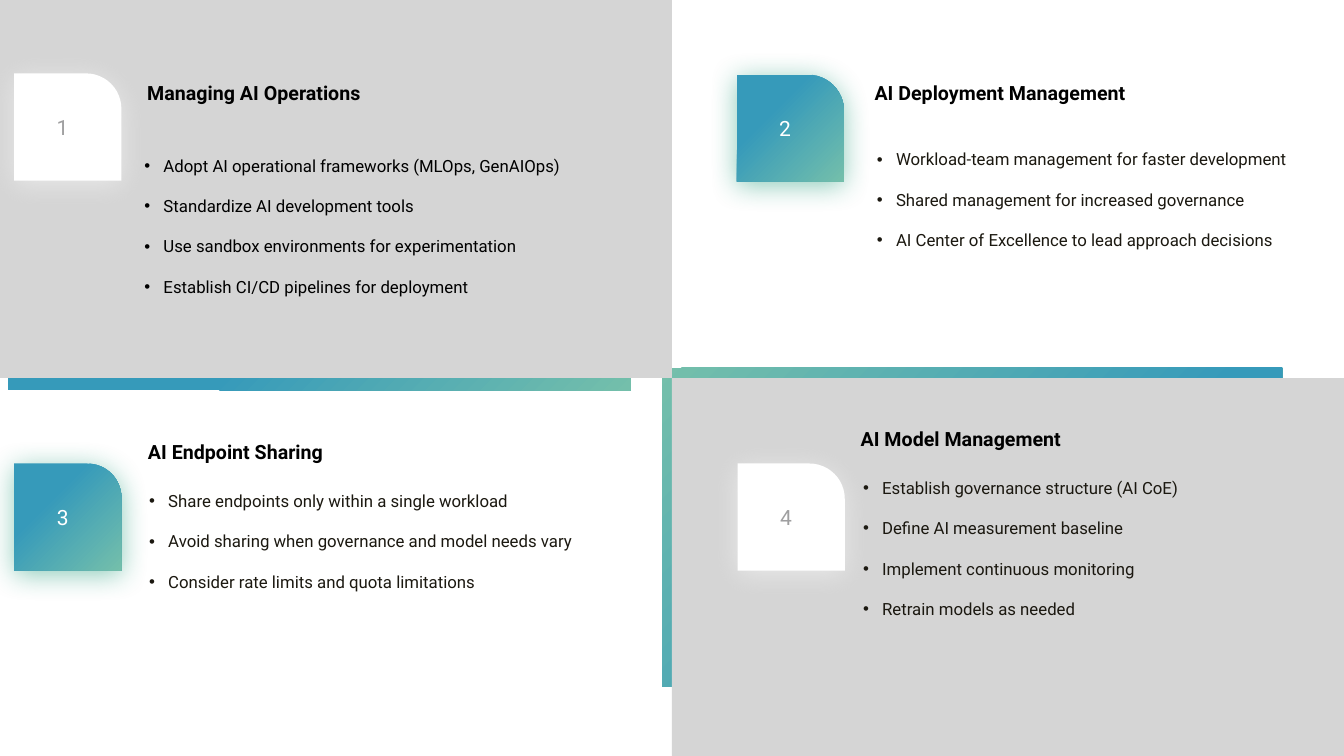
from lxml.etree import SubElement
from pptx import Presentation
from pptx.dml.color import RGBColor
from pptx.enum.shapes import MSO_SHAPE
from pptx.enum.text import MSO_ANCHOR, MSO_AUTO_SIZE, PP_ALIGN
from pptx.oxml import parse_xml
from pptx.oxml.ns import nsdecls, qn
from pptx.util import Cm, Pt

# Content: heading and list boxes are (left, top, width), badges (left, top), in cm
TOPICS = [
    {"head": "Managing AI Operations", "head_at": (3.56, 1.78, 8.38),
     "list_at": (3.56, 3.28, 11.33), "badge_at": (0.36, 1.85),
     "ink": "000000", "vivid": False, "round": 0.33,
     "items": ["Adopt AI operational frameworks (MLOps, GenAIOps)",
               "Standardize AI development tools",
               "Use sandbox environments for experimentation",
               "Establish CI/CD pipelines for deployment"]},
    {"head": "AI Deployment Management", "head_at": (21.89, 1.78, 9.73),
     "list_at": (22.02, 3.12, 11.23), "badge_at": (18.57, 1.88),
     "ink": "1B1810", "vivid": True, "round": 0.34,
     "items": ["Workload-team management for faster development",
               "Shared management for increased governance",
               "AI Center of Excellence to lead approach decisions"]},
    {"head": "AI Endpoint Sharing", "head_at": (3.58, 10.82, 9.75),
     "list_at": (3.68, 11.73, 13), "badge_at": (0.36, 11.68),
     "ink": "1B1810", "vivid": True, "round": 0.32,
     "items": ["Share endpoints only within a single workload",
               "Avoid sharing when governance and model needs vary",
               "Consider rate limits and quota limitations"]},
    {"head": "AI Model Management", "head_at": (21.54, 10.49, 8.38),
     "list_at": (21.67, 11.4, 11.94), "badge_at": (18.59, 11.68),
     "ink": "1B1810", "vivid": False, "round": 0.33,
     "items": ["Establish governance structure (AI CoE)",
               "Define AI measurement baseline",
               "Implement continuous monitoring",
               "Retrain models as needed"]},
]
WIDE, HIGH = 33.87, 19.05
HALF_W, HALF_H = WIDE / 2, HIGH / 2
GREEN, BLUE, GRAY, WHITE = "74BFAB", "369ABA", "D5D5D5", "FFFFFF"
DIAGONAL = '<a:lin ang="2700000" scaled="0"/>'
CORNER = '<a:path path="circle"><a:fillToRect l="100000" t="100000"/></a:path>'
STRIPS = [((16.69, 9.27, 15.62, 8.03), [(0, GREEN), (62, BLUE)]),
          ((0.2, 1.75, 15.7, 8.08), [(55, BLUE), (100, GREEN)])]
PANELS = [(0, 0, HALF_W, HALF_H), (HALF_W, HALF_H, HALF_W, HALF_H)]
BADGE, HEAD_H, ROW = 2.7, 0.94, 1.04
INDENT = Cm(0.48)

# Format values
HEAD_FONT = {"name": "Roboto", "size": Pt(14), "bold": True}
LIST_FONT = {"name": "Roboto", "size": Pt(12), "bold": False}
BADGE_FONT = {"name": "Roboto", "size": Pt(15), "bold": False}
HEAD_PAR = {"line_spacing": 1.2, "space_before": Pt(0), "alignment": PP_ALIGN.LEFT}
LIST_PAR = {"line_spacing": 2.0, "space_before": Pt(0), "alignment": PP_ALIGN.LEFT}
BADGE_PAR = {"alignment": PP_ALIGN.CENTER}
BOX = {"word_wrap": True, "auto_size": MSO_AUTO_SIZE.SHAPE_TO_FIT_TEXT,
       "vertical_anchor": MSO_ANCHOR.TOP}
HEAD_BOX = BOX | dict.fromkeys(
    ["margin_left", "margin_top", "margin_right", "margin_bottom"], Cm(0.15))
LIST_BOX = BOX | {"margin_left": Cm(0.08), "margin_top": Cm(0.13),
                  "margin_right": Cm(0.25), "margin_bottom": Cm(0.13)}
BADGE_BOX = {"vertical_anchor": MSO_ANCHOR.MIDDLE}


def color(code):
    return RGBColor.from_string(code)


def apply(target, values):
    for key, value in values.items():
        setattr(target, key, value)


def place(shape, left, top, width, height):
    apply(shape, {"left": Cm(left), "top": Cm(top),
                  "width": Cm(width), "height": Cm(height)})
    tree.append(shape._element)


def write(shape, lines, box, par, font, ink):
    frame = shape.text_frame
    apply(frame, box)
    frame.text = "\n".join(lines)
    for line in frame.paragraphs:
        apply(line, par)
        apply(line.runs[0].font, font)
        line.runs[0].font.color.rgb = color(ink)


def bullet(shape):
    for line in shape.text_frame.paragraphs:
        props = line._p.get_or_add_pPr()
        props.set("marL", str(INDENT))
        props.set("indent", str(-INDENT))
        SubElement(props, qn("a:buFont"), typeface="Arial")
        SubElement(props, qn("a:buChar"), char="•")


def block(kind, at, fill=None):
    shape = slide.shapes.add_shape(kind, *map(Cm, at))
    shape.shadow.inherit = False
    shape.line.fill.background()
    if fill:
        shape.fill.solid()
        shape.fill.fore_color.rgb = color(fill)
    return shape


def blend(shape, stops, course):
    shape.fill.background()
    marks = "".join(f'<a:gs pos="{pos * 1000}"><a:srgbClr val="{code}"/></a:gs>'
                    for pos, code in stops)
    props = shape._element.spPr
    props.replace(props.find(qn("a:noFill")), parse_xml(
        f'<a:gradFill {nsdecls("a")} rotWithShape="1">'
        f'<a:gsLst>{marks}</a:gsLst>{course}</a:gradFill>'))


def glow(shape, code):
    shape._element.spPr.find(qn("a:effectLst")).append(parse_xml(
        f'<a:outerShdw {nsdecls("a")} blurRad="{Pt(20)}" dist="{Pt(3)}" '
        f'dir="5400000" algn="t" rotWithShape="0"><a:srgbClr val="{code}">'
        '<a:alpha val="50000"/></a:srgbClr></a:outerShdw>'))


deck = Presentation()
deck.slide_width, deck.slide_height = Cm(WIDE), Cm(HIGH)
slide = deck.slides.add_slide(deck.slide_layouts[4])
tree = slide.shapes._spTree
title, *bodies = slide.placeholders

# Gradient strips, then the gray panels that cover most of them
for at, stops in STRIPS:
    blend(block(MSO_SHAPE.RECTANGLE, at), stops, DIAGONAL)
for at in PANELS:
    block(MSO_SHAPE.RECTANGLE, at, GRAY)

# Lists and headings; the first heading is the slide title
for topic, body in zip(TOPICS, bodies):
    place(body, *topic["list_at"], ROW * len(topic["items"]) + 0.06)
    write(body, topic["items"], LIST_BOX, LIST_PAR, LIST_FONT, topic["ink"])
    bullet(body)
    head = title if topic is TOPICS[0] else slide.shapes.add_textbox(0, 0, 0, 0)
    place(head, *topic["head_at"], HEAD_H)
    write(head, [topic["head"]], HEAD_BOX, HEAD_PAR, HEAD_FONT, "000000")

# Numbered badges
for num, topic in enumerate(TOPICS, 1):
    badge = block(MSO_SHAPE.ROUND_1_RECTANGLE,
                  (*topic["badge_at"], BADGE, BADGE), WHITE)
    badge.adjustments[0] = topic["round"]
    if topic["vivid"]:
        blend(badge, [(0, GREEN), (67, BLUE)], CORNER)
    glow(badge, "1D9A78" if topic["vivid"] else WHITE)
    write(badge, [str(num)], BADGE_BOX, BADGE_PAR, BADGE_FONT,
          WHITE if topic["vivid"] else "9F9FA0")

deck.save("out.pptx")
